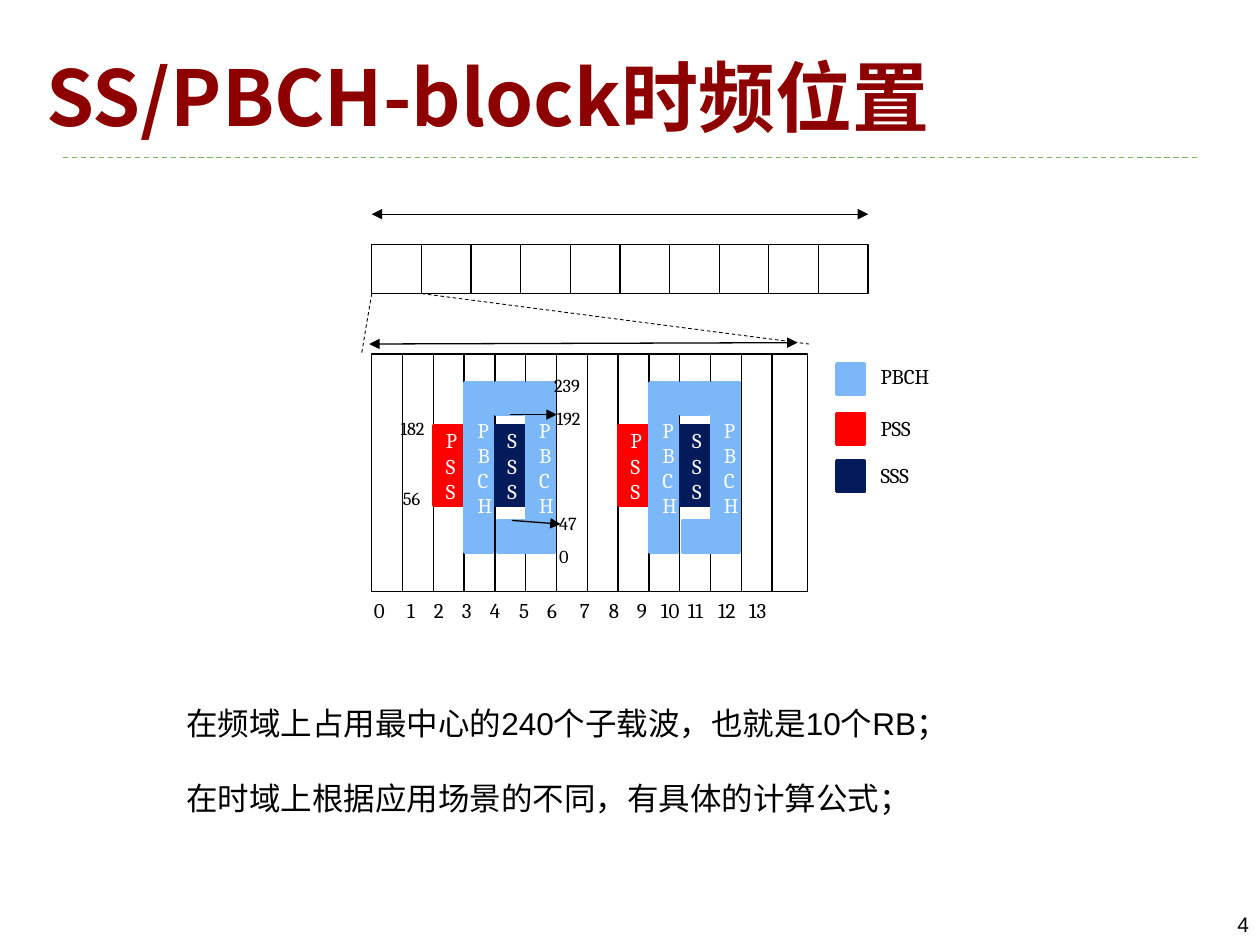
"""Build the SS/PBCH-block time-frequency position slide."""
import pptx
import pptx.dml.color
import pptx.enum.dml
import pptx.enum.shapes
import pptx.enum.text
import pptx.oxml
import pptx.oxml.ns
import pptx.util
from lxml import etree

Pt = pptx.util.Pt
RGB = pptx.dml.color.RGBColor
ALIGN = pptx.enum.text.PP_ALIGN
ANCHOR = pptx.enum.text.MSO_ANCHOR
qn = pptx.oxml.ns.qn

BLACK = RGB(0, 0, 0)
WHITE = RGB(255, 255, 255)
TITLE_RED = RGB(0x8E, 0, 0)
RULE_GREEN = RGB(0x77, 0xB5, 0x59)
BLUE = RGB(0x7C, 0xB7, 0xF8)
RED = RGB(255, 0, 0)
NAVY = RGB(0x03, 0x1B, 0x5A)
CJK = "Noto Sans CJK SC"

TITLE = "SS/PBCH-block时频位置"
NOTES = ["在频域上占用最中心的240个子载波，也就是10个RB；",
         "在时域上根据应用场景的不同，有具体的计算公式；"]
SYMBOL_TABS = [19, 34.3, 50.3, 66.3, 83, 99, 117.7, 134.3, 150.3, 164, 179.4, 196.6, 214.3]

FRAME = (212.4, 139.7, 283.7, 28.1)
SLOT = (212.4, 202.3, 249.1, 135.8)
SUBFRAMES, SYMBOLS = 10, 14
SYMBOL_W = 17.6
BLOCK_STARTS = [2, 8]

BLOCK = [
    ("PSS", RED, 0.1, 243.4, 17.5, 45.4),
    ("SSS", NAVY, 35.2, 243.4, 17.5, 45.4),
    ("PBCH", BLUE, 18.2, 218.9, 15.8, 96.5),
    ("PBCH", BLUE, 53.4, 218.9, 15.8, 96.5),
    ("", BLUE, 35.9, 218.9, 15.8, 18),
    ("", BLUE, 37, 297.4, 15.8, 18),
]
LEGEND = [("PBCH", BLUE, 208.1, 204.5), ("PSS", RED, 236.2, 234), ("SSS", NAVY, 263.5, 260.6)]
CARRIERS = [("182", 221.8, 234.7), ("56", 223.2, 275), ("0", 312.5, 308.2),
            ("239", 309.6, 210.2), ("47", 312.5, 289.4), ("192", 311, 229)]

prs = pptx.Presentation()
prs.slide_width, prs.slide_height = Pt(720), Pt(540)
s = prs.slides.add_slide(prs.slide_layouts[6])


def add_text(sp, text, size=12, font="Cambria", color=BLACK, bold=False,
             align=ALIGN.LEFT, anchor=ANCHOR.TOP, gap=0, tabs=()):
    tf = sp.text_frame
    tf.word_wrap = True
    tf.vertical_anchor = anchor
    for i, line in enumerate(text.split("\n")):
        p = tf.paragraphs[0] if i == 0 else tf.add_paragraph()
        p.alignment = align
        if i:
            p.space_before = Pt(gap)
        if tabs:
            stops = etree.SubElement(p._p.get_or_add_pPr(), qn("a:tabLst"))
            for tab in tabs:
                etree.SubElement(stops, qn("a:tab"), pos=str(Pt(tab)), algn="l")
        r = p.add_run()
        r.text = line
        r.font.size, r.font.name, r.font.bold = Pt(size), font, bold
        r.font.color.rgb = color
        etree.SubElement(r._r.get_or_add_rPr(), qn("a:ea"), typeface=CJK)


def add_box(x, y, w, h, text, **fmt):
    add_text(s.shapes.add_textbox(Pt(x), Pt(y), Pt(w), Pt(h)), text, **fmt)


def add_rect(x, y, w, h, fill, line, width):
    sp = s.shapes.add_shape(pptx.enum.shapes.MSO_SHAPE.RECTANGLE, Pt(x), Pt(y), Pt(w), Pt(h))
    sp.shadow.inherit = False
    sp.fill.solid()
    sp.fill.fore_color.rgb = fill
    sp.line.color.rgb = line
    sp.line.width = Pt(width)
    return sp


def add_line(x1, y1, x2, y2, color=BLACK, width=0.75, dash=False, ends=()):
    c = s.shapes.add_connector(pptx.enum.shapes.MSO_CONNECTOR.STRAIGHT,
                               Pt(x1), Pt(y1), Pt(x2), Pt(y2))
    c.line.color.rgb = color
    c.line.width = Pt(width)
    if dash:
        c.line.dash_style = pptx.enum.dml.MSO_LINE.DASH
    for end in ends:
        etree.SubElement(c.line._get_or_add_ln(), qn(f"a:{end}End"), type="triangle")
    etree.SubElement(c._element.spPr, qn("a:effectLst"))
    return c


def add_grid(frame, count, pitch):
    x, y, w, h = frame
    add_rect(x, y, w, h, WHITE, BLACK, 0.75)
    for i in range(1, count):
        add_line(x + i * pitch, y, x + i * pitch, y + h)


def add_block(start):
    left = SLOT[0] + start * SYMBOL_W
    rects = []
    for name, color, dx, y, w, h in BLOCK:
        sp = add_rect(left + dx, y, w, h, color, color, 2)
        if name:
            add_text(sp, name, color=WHITE, align=ALIGN.CENTER, anchor=ANCHOR.MIDDLE)
        rects.append(sp)
    return rects


add_line(36, 90, 684, 90, color=RULE_GREEN, dash=True)
add_box(19.4, 12.2, 593.3, 72.7, TITLE, size=44, font=CJK, color=TITLE_RED, bold=True,
        anchor=ANCHOR.BOTTOM)
add_box(553, 513.4, 167.8, 28.8, "4", font="Arial", align=ALIGN.RIGHT, anchor=ANCHOR.MIDDLE)

add_grid(FRAME, SUBFRAMES, FRAME[2] / SUBFRAMES)
add_line(212.4, 122.4, 496.1, 122.4, ends=("head", "tail"))
add_grid(SLOT, SYMBOLS, SYMBOL_W)
add_line(212.4, 167.8, 206.6, 202.3, width=0.5, dash=True)
add_line(241, 167.8, 462.2, 196.6, width=0.5, dash=True)
add_line(211, 196.6, 455.8, 195.8, ends=("head", "tail"))
add_box(206.6, 337.7, 272.2, 21.6, "\t".join(str(i) for i in range(SYMBOLS)), tabs=SYMBOL_TABS)

blocks = [add_block(start) for start in BLOCK_STARTS]
for name, color, y, text_y in LEGEND:
    add_rect(478.1, y, 15.8, 17.5, color, color, 2)
    add_box(496.1, text_y, 45.4, 21.6, name)
for label, x, y in CARRIERS:
    add_box(x, y, 36, 20.9, label, size=10.5)

top_bar, bottom_bar = blocks[0][-2:]
add_line(292.3, 297.4, 320.4, 299.5, ends=("tail",)).begin_connect(bottom_bar, 0)
add_line(292.3, 237.6, 318.2, 236.9, ends=("tail",)).begin_connect(top_bar, 2)

add_box(99.4, 398.9, 487.4, 72.7, "\n".join(NOTES), size=18, font="Arial", gap=21)

prs.save("out.pptx")
